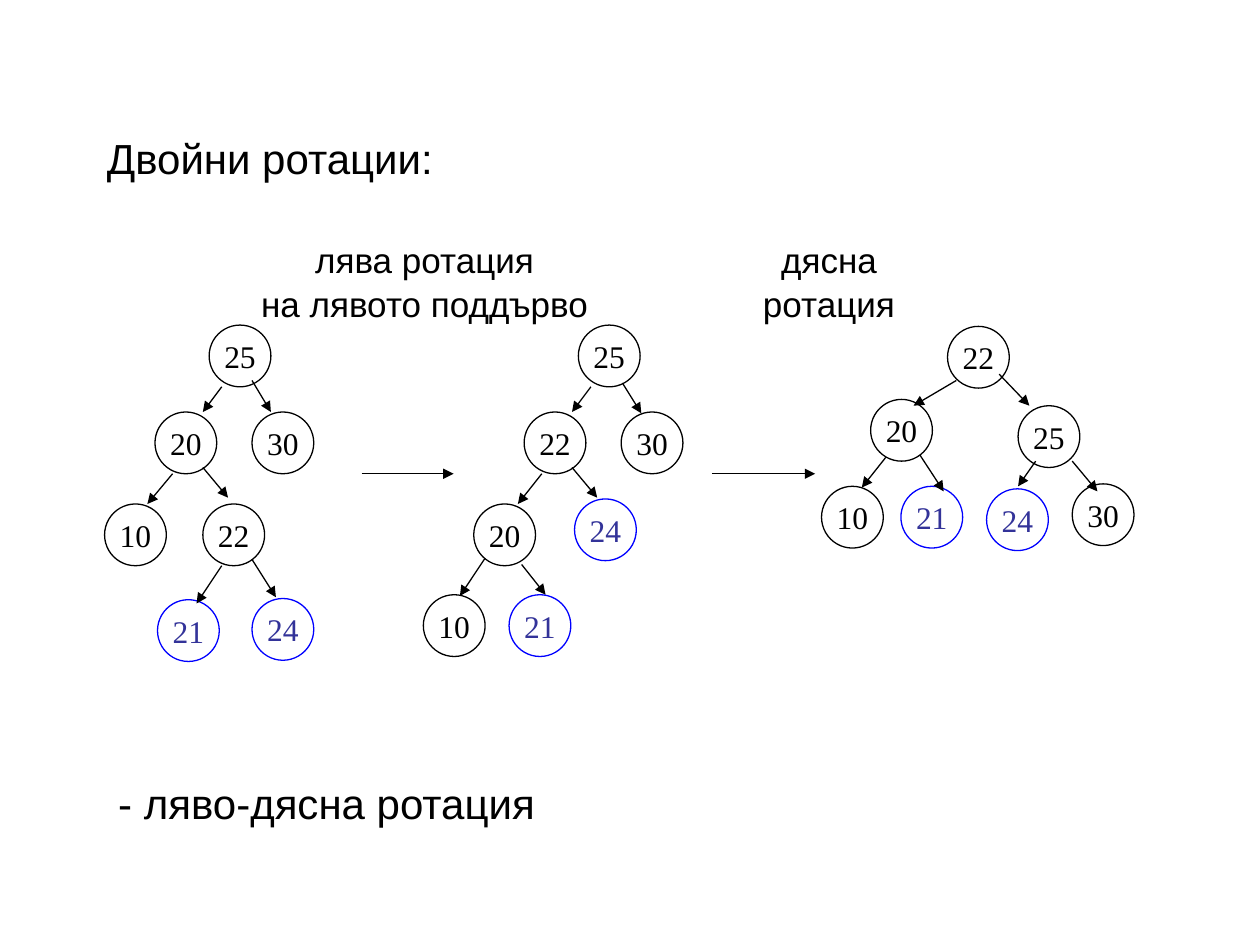
"""Build a slide that shows a left-right double rotation of a search tree."""
from lxml import etree
from pptx import Presentation
from pptx.dml.color import RGBColor
from pptx.enum.shapes import MSO_CONNECTOR, MSO_SHAPE
from pptx.enum.text import MSO_ANCHOR, PP_ALIGN
from pptx.oxml.ns import qn
from pptx.util import Inches, Pt

LINE, OVAL = MSO_CONNECTOR.STRAIGHT, MSO_SHAPE.OVAL
MIDDLE = MSO_ANCHOR.MIDDLE
LEFT, CENTER = PP_ALIGN.LEFT, PP_ALIGN.CENTER
BLACK = RGBColor(0, 0, 0)
WHITE = RGBColor(255, 255, 255)
BLUE = RGBColor(0, 0, 255)
INDIGO = RGBColor(0x33, 0x33, 0x99)

SIZE = 0.49
THIN = Pt(0.75)
MOVED = {21, 24}

# Text box: lines, left, middle, width, height, size, alignment
LABELS = [
    (["Двойни ротации:"], 0.75, 1.25, 4, 0.5, 24, LEFT),
    (["лява ротация", "на лявото поддърво"], 1.87, 2.23, 3, 0.8, 20, CENTER),
    (["дясна", "ротация"], 5.58, 2.23, 2, 0.8, 20, CENTER),
    (["- ляво-дясна ротация"], 0.84, 6.37, 5, 0.5, 24, LEFT),
]

# Tree: nodes as value, left, top; edges as start x, y, end x, y
TREES = [
    ([(25, 1.66, 2.58), (20, 1.23, 3.27), (30, 2, 3.27), (10, 0.83, 4),
      (22, 1.61, 4), (21, 1.25, 4.76), (24, 2, 4.75)],
     [(1.76, 3.07, 1.61, 3.27), (2, 3.02, 2.15, 3.27),
      (1.37, 3.76, 1.17, 4), (1.61, 3.71, 1.81, 3.95),
      (1.76, 4.49, 1.56, 4.79), (2, 4.44, 2.19, 4.74)]),
    ([(25, 4.59, 2.58), (22, 4.16, 3.27), (30, 4.93, 3.27), (20, 3.76, 4),
      (24, 4.56, 3.96), (10, 3.36, 4.72), (21, 4.04, 4.72)],
     [(4.69, 3.07, 4.54, 3.27), (4.94, 3.04, 5.09, 3.28),
      (4.3, 3.76, 4.11, 4), (4.54, 3.71, 4.74, 3.95),
      (3.85, 4.43, 3.65, 4.73), (4.14, 4.48, 4.33, 4.72)]),
    ([(22, 7.52, 2.59), (20, 6.91, 3.17), (25, 8.08, 3.22), (10, 6.52, 3.86),
      (21, 7.15, 3.86), (24, 7.83, 3.88), (30, 8.51, 3.84)],
     [(7.59, 3.02, 7.25, 3.22), (7.93, 2.97, 8.17, 3.22),
      (7.03, 3.63, 6.84, 3.87), (7.3, 3.61, 7.49, 3.9),
      (8.22, 3.66, 8.08, 3.86), (8.51, 3.66, 8.71, 3.9)]),
]
STEPS = [(2.87, 3.76, 3.6, 3.76), (5.65, 3.76, 6.47, 3.76)]


def write(frame, lines, font, size, color, align):
    frame.margin_top = frame.margin_bottom = 0
    frame.vertical_anchor = MIDDLE
    frame.text = "\n".join(lines)
    for para in frame.paragraphs:
        para.alignment = align
        para.font.name = font
        para.font.size = Pt(size)
        para.font.color.rgb = color


def add_label(shapes, lines, left, middle, width, height, size, align):
    box = shapes.add_textbox(Inches(left), Inches(middle - height / 2),
                             Inches(width), Inches(height))
    frame = box.text_frame
    frame.word_wrap = True
    write(frame, lines, "Arial", size, BLACK, align)
    if len(lines) > 1:
        for para in frame.paragraphs:
            para.line_spacing = Pt(25)


def add_node(shapes, value, left, top):
    node = shapes.add_shape(OVAL, Inches(left), Inches(top),
                            Inches(SIZE), Inches(SIZE))
    moved = value in MOVED
    node.shadow.inherit = False
    node.fill.solid()
    node.fill.fore_color.rgb = WHITE
    node.line.color.rgb = BLUE if moved else BLACK
    node.line.width = THIN
    frame = node.text_frame
    frame.margin_left = frame.margin_right = 0
    frame.word_wrap = False
    write(frame, [str(value)], "Times New Roman", 18,
          INDIGO if moved else BLACK, CENTER)


def add_arrow(shapes, *ends):
    arrow = shapes.add_connector(LINE, *map(Inches, ends))
    arrow.line.color.rgb = BLACK
    arrow.line.width = THIN
    etree.SubElement(arrow.line._get_or_add_ln(), qn("a:tailEnd"),
                     type="triangle")
    etree.SubElement(arrow._element.spPr, qn("a:effectLst"))


def main():
    deck = Presentation()
    deck.slide_width, deck.slide_height = Inches(10), Inches(7.5)
    shapes = deck.slides.add_slide(deck.slide_layouts[6]).shapes
    for label in LABELS:
        add_label(shapes, *label)
    for nodes, edges in TREES:
        for node in nodes:
            add_node(shapes, *node)
        for edge in edges:
            add_arrow(shapes, *edge)
    for step in STEPS:
        add_arrow(shapes, *step)
    deck.save("out.pptx")


if __name__ == "__main__":
    main()
